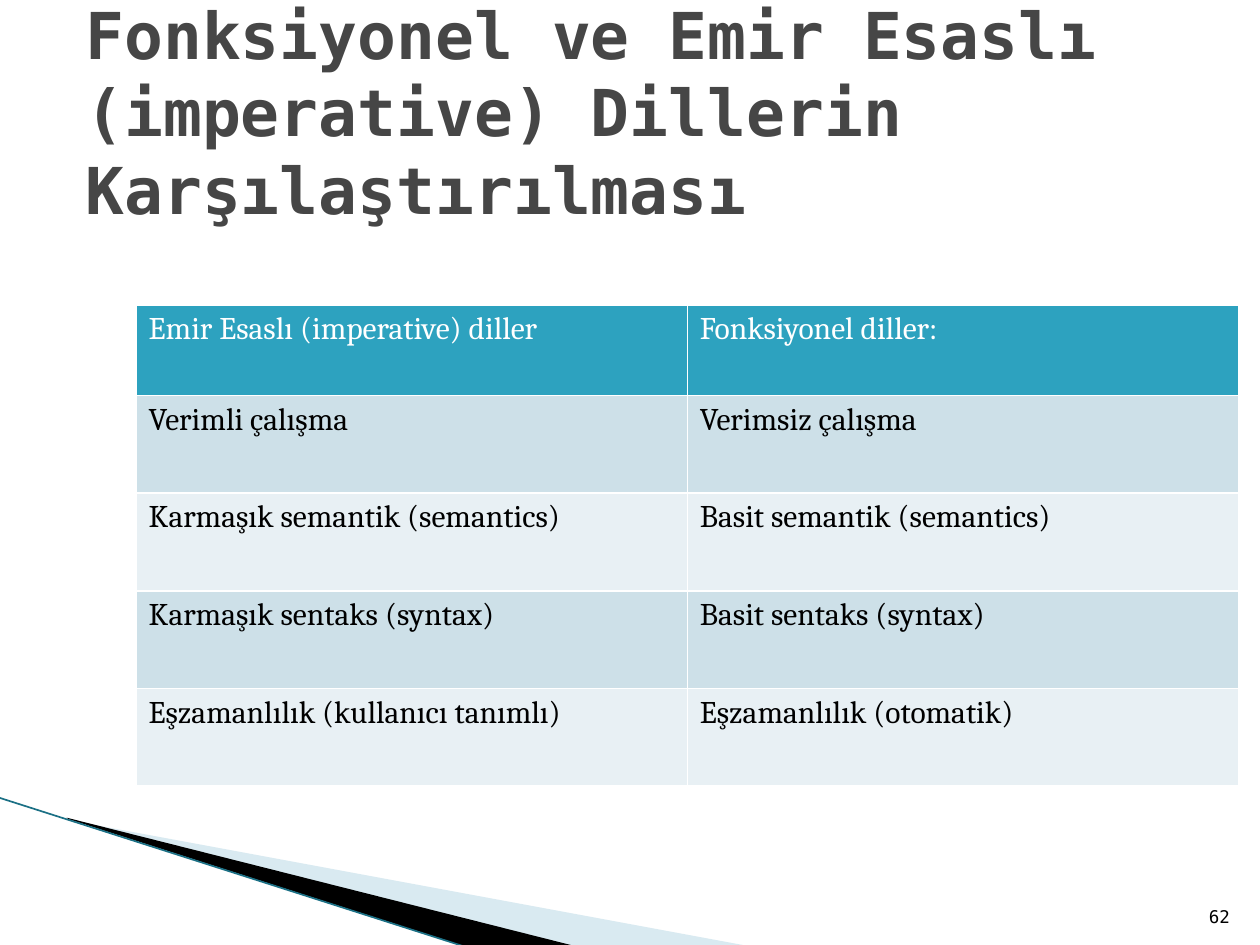
from lxml import etree
from pptx import Presentation
from pptx.dml.color import RGBColor
from pptx.enum.shapes import MSO_CONNECTOR
from pptx.enum.text import MSO_ANCHOR, PP_ALIGN
from pptx.oxml.ns import qn
from pptx.util import Inches, Pt

COLORS = {
    "white": "FFFFFF", "black": "000000", "title": "464646", "header": "2DA2BF",
    "band_dark": "CDE0E8", "band_light": "E8F0F4", "wedge": "A0CBDC", "edge": "1B7085",
}
MONO, SERIF = "DejaVu Sans Mono", "Cambria"


def rgb(name):
    return RGBColor.from_string(COLORS[name])


def add_text(text, box, size, color, anchor, align, bold):
    tf = s.shapes.add_textbox(*map(Inches, box)).text_frame
    tf.word_wrap = True
    tf.vertical_anchor = anchor
    p = tf.paragraphs[0]
    p.text = text
    p.alignment = align
    p.font.name, p.font.size, p.font.bold = MONO, Pt(size), bold
    p.font.color.rgb = rgb(color)


prs = Presentation()
prs.slide_width, prs.slide_height = Inches(10), Inches(7.5)
s = prs.slides.add_slide(prs.slide_layouts[6])

# Corner decoration: each outline runs past the frame it is anchored to
wedges = [
    ("wedge", 40, (0.78, 5.47, 4.16, 1.58),
     [(0.55, 6.51), (5.95, 7.51), (4.56, 7.51), (0.55, 6.5)]),
    ("black", 100, (-0.06, 6.33, 4.16, 0.92),
     [(0.53, 6.49), (4.57, 7.51), (3.72, 7.52), (0.54, 6.5)]),
]
for color, opacity, frame, points in wedges:
    start, *rest = [(Inches(x), Inches(y)) for x, y in points]
    builder = s.shapes.build_freeform(*start)
    builder.add_line_segments(rest, close=True)
    sp = builder.convert_to_shape()
    dx, dy = sp.left - Inches(frame[0]), sp.top - Inches(frame[1])
    sp.left, sp.top, sp.width, sp.height = map(Inches, frame)
    outline = sp._element.find(".//" + qn("a:path"))
    outline.set("w", str(sp.width))
    outline.set("h", str(sp.height))
    for pt in outline.iter(qn("a:pt")):
        pt.set("x", str(int(pt.get("x")) + dx))
        pt.set("y", str(int(pt.get("y")) + dy))
    sp.shadow.inherit = False
    sp.fill.solid()
    sp.fill.fore_color.rgb = rgb(color)
    sp.line.fill.background()
    if opacity < 100:
        clr = sp.fill._xPr.find(qn("a:solidFill"))[0]
        etree.SubElement(clr, qn("a:alpha"), val=str(opacity * 1000))

edge = s.shapes.add_connector(
    MSO_CONNECTOR.STRAIGHT, Inches(-0.01), Inches(6.33), Inches(3.71), Inches(7.52))
edge.line.color.rgb = rgb("edge")
edge.line.width = Pt(0.95)
etree.SubElement(edge._element.spPr, qn("a:effectLst"))

# Slide number and title
add_text("62", (9.46, 7.01, 0.4, 0.4), 10, "black", MSO_ANCHOR.BOTTOM, PP_ALIGN.RIGHT, False)
add_text("Fonksiyonel ve Emir Esaslı (imperative) Dillerin Karşılaştırılması",
         (0.58, 0.17, 9.25, 1.42), 36.9, "title", MSO_ANCHOR.MIDDLE, PP_ALIGN.LEFT, True)

# Comparison table
rows = [
    ("Emir Esaslı (imperative) diller", "Fonksiyonel diller:"),
    ("Verimli çalışma", "Verimsiz çalışma"),
    ("Karmaşık semantik (semantics)", "Basit semantik (semantics)"),
    ("Karmaşık sentaks (syntax)", "Basit sentaks (syntax)"),
    ("Eşzamanlılık (kullanıcı tanımlı)", "Eşzamanlılık (otomatik)"),
]
table_height, header_height = Inches(3.82), Inches(0.72)
body_height = (table_height - header_height) // (len(rows) - 1)
table = s.shapes.add_table(
    len(rows), 2, Inches(1.08), Inches(2.42), Inches(8.75), table_height).table
for i, row in enumerate(rows):
    header = i == 0
    table.rows[i].height = header_height if header else body_height
    fill = "header" if header else ("band_light", "band_dark")[i % 2]
    for j, text in enumerate(row):
        cell = table.cell(i, j)
        cell.fill.solid()
        cell.fill.fore_color.rgb = rgb(fill)
        p = cell.text_frame.paragraphs[0]
        p.text = text
        p.font.name, p.font.size, p.font.bold = SERIF, Pt(18), False
        p.font.color.rgb = rgb("white" if header else "black")
        tcPr = cell._tc.get_or_add_tcPr()
        for k, side in enumerate(("lnL", "lnR", "lnT", "lnB")):
            ln = etree.Element(qn(f"a:{side}"), w=str(Pt(1)))
            solid = etree.SubElement(ln, qn("a:solidFill"))
            etree.SubElement(solid, qn("a:srgbClr"), val=COLORS["white"])
            tcPr.insert(k, ln)

prs.save("out.pptx")
